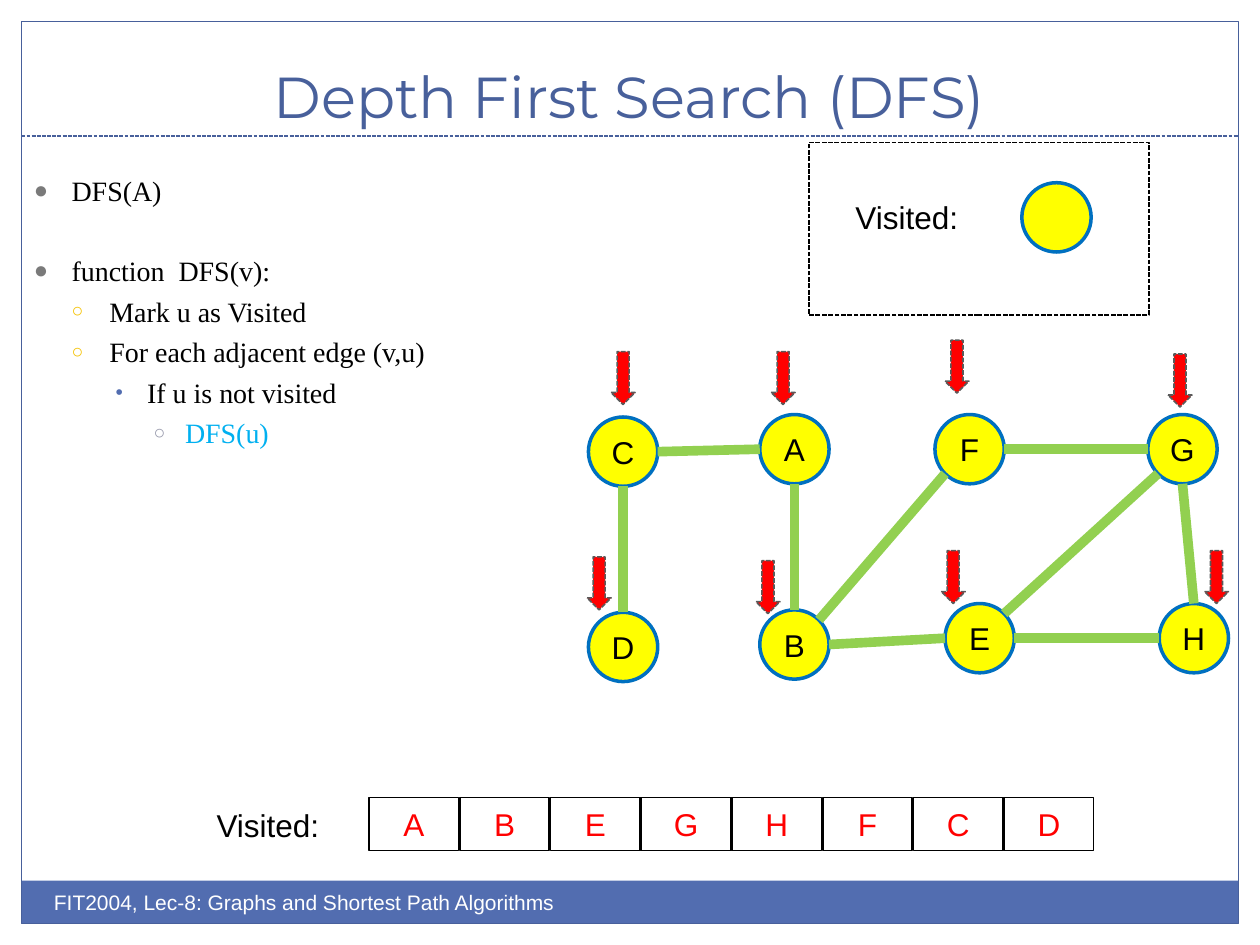
from lxml import etree
from pptx import Presentation
from pptx.dml.color import RGBColor
from pptx.enum.dml import MSO_LINE
from pptx.enum.shapes import MSO_CONNECTOR, MSO_SHAPE
from pptx.enum.text import MSO_ANCHOR, PP_ALIGN
from pptx.oxml.ns import qn
from pptx.util import Inches, Pt

RECT, OVAL, ARROW = MSO_SHAPE.RECTANGLE, MSO_SHAPE.OVAL, MSO_SHAPE.DOWN_ARROW
LINE = MSO_CONNECTOR.STRAIGHT
DASH = MSO_LINE.SQUARE_DOT
CENTER, MIDDLE, BOTTOM = PP_ALIGN.CENTER, MSO_ANCHOR.MIDDLE, MSO_ANCHOR.BOTTOM
BLUE, YELLOW, RED, BLACK, WHITE = "48609B", "FFFF00", "FF0000", "000000", "FFFFFF"
NODE = 0.55
NODES = {"A": (6.03, 3.29), "B": (6.03, 4.84), "C": (4.67, 3.31), "D": (4.67, 4.86),
         "E": (7.5, 4.79), "F": (7.42, 3.29), "G": (9.11, 3.29), "H": (9.2, 4.79)}
# Each edge: node and side where it starts, node and side where it ends
EDGES = ["C s D n", "A s B n", "G s H n", "C e A w", "F e G w",
         "B e E w", "E e H w", "B ne F sw", "E ne G sw"]
ARROWS = [(4.85, 2.79), (6.12, 2.79), (7.5, 2.7), (9.27, 2.81),
          (4.66, 4.42), (6, 4.45), (7.47, 4.37), (9.56, 4.37)]
# Each line: level, text, space before
CODE = [(0, "DFS(A)", 4), (0, "function  DFS(v):", 26.4), (1, "Mark u as Visited", 4),
        (1, "For each adjacent edge (v,u)", 4), (2, "If u is not visited", 4),
        (3, "DFS(u)", 4)]
# Each level: bullet, colour, size in percent, hanging indent
BULLETS = [("●", "7A7A7A", 85, 0.3), ("○", "F5C201", 70, 0.3),
           ("•", "526DB0", 75, 0.25), ("○", "989AAC", 70, 0.25)]


def color(hex):
    """Turn a hex string into a colour."""
    return RGBColor.from_string(hex)


def style(para, size, hue, font="Arial"):
    """Set the font of a paragraph."""
    para.font.size, para.font.name = Pt(size), font
    para.font.color.rgb = color(hue)


def shape(slide, kind, x, y, w, h, fill=None, line=None, width=1, dash=None):
    """Add a flat shape with an optional fill and outline."""
    item = slide.shapes.add_shape(kind, Inches(x), Inches(y), Inches(w), Inches(h))
    item.shadow.inherit = False
    if fill:
        item.fill.solid()
        item.fill.fore_color.rgb = color(fill)
    else:
        item.fill.background()
    if line:
        item.line.color.rgb = color(line)
        item.line.width = Pt(width)
        if dash:
            item.line.dash_style = dash
    else:
        item.line.fill.background()
    return item


def letter(item, text, hue):
    """Write a centred letter inside a shape."""
    frame = item.text_frame
    frame.margin_left = frame.margin_right = frame.margin_top = frame.margin_bottom = 0
    frame.vertical_anchor = MIDDLE
    para = frame.paragraphs[0]
    para.text, para.alignment = text, CENTER
    style(para, 18, hue)


def label(slide, x, y, w, text, size=18, hue=BLACK):
    """Add a one-line text box."""
    box = slide.shapes.add_textbox(Inches(x), Inches(y), Inches(w), Inches(0.4))
    para = box.text_frame.paragraphs[0]
    para.text = text
    style(para, size, hue)


def link(slide, start, end, hue, width, dash=None):
    """Draw a straight line between two points."""
    line = slide.shapes.add_connector(LINE, *[Inches(v) for v in (*start, *end)])
    line.line.color.rgb = color(hue)
    line.line.width = Pt(width)
    if dash:
        line.line.dash_style = dash
    etree.SubElement(line._element.spPr, qn("a:effectLst"))


def frame(slide, x, y, w, h):
    """Draw the border, title rule, footer and title."""
    shape(slide, RECT, x, y + h - 0.34, w, 0.34, "526DB0")
    shape(slide, RECT, x, y, w, h, line=BLUE, width=0.75)
    link(slide, (x, y + 0.91), (x + w, y + 0.91), BLUE, 0.75, DASH)
    label(slide, x + 0.16, y + h - 0.32, 5,
          "FIT2004, Lec-8: Graphs and Shortest Path Algorithms", 12, WHITE)
    title = slide.shapes.title
    title.left, title.top = Inches(x + 0.16), Inches(y + 0.08)
    title.width, title.height = Inches(9.33), Inches(0.83)
    title.text_frame.vertical_anchor = BOTTOM
    para = title.text_frame.paragraphs[0]
    para.text, para.alignment = "Depth First Search (DFS)", CENTER
    style(para, 33, BLUE, "Montserrat")


def bullet(para, level):
    """Give a paragraph the bullet and indent of its level."""
    char, hue, size, hang = BULLETS[level]
    props = para._p.get_or_add_pPr()
    props.set("marL", str(Inches(0.3 * (level + 1))))
    props.set("indent", str(-Inches(hang)))
    tint = etree.SubElement(props, qn("a:buClr"))
    etree.SubElement(tint, qn("a:srgbClr"), val=hue)
    etree.SubElement(props, qn("a:buSzPct"), val=str(size * 1000))
    etree.SubElement(props, qn("a:buFont"), typeface="Arial")
    etree.SubElement(props, qn("a:buChar"), char=char)


def code(slide, x, y, w, h):
    """Write the bulleted algorithm."""
    box = slide.shapes.add_textbox(Inches(x), Inches(y), Inches(w), Inches(h))
    text = box.text_frame
    text.word_wrap = True
    for i, (level, words, gap) in enumerate(CODE):
        para = text.add_paragraph() if i else text.paragraphs[0]
        para.text, para.level = words, level
        para.space_before = Pt(gap)
        style(para, 16, "00B0F0" if level == 3 else BLACK, "Times New Roman")
        bullet(para, level)


def node(slide, x, y):
    """Add a visited node."""
    return shape(slide, OVAL, x, y, NODE, NODE, YELLOW, "0070C0", 2)


def port(name, side):
    """Find the point on a node's rim at a compass side."""
    x, y = NODES[name]
    reach = NODE / 2 * (0.71 if len(side) == 2 else 1)
    dx = ("e" in side) - ("w" in side)
    dy = ("s" in side) - ("n" in side)
    return x + NODE / 2 + dx * reach, y + NODE / 2 + dy * reach


def graph(slide):
    """Draw the nodes, edges and arrows."""
    for name, (x, y) in NODES.items():
        letter(node(slide, x, y), name, BLACK)
    for edge in EDGES:
        a, out, b, into = edge.split()
        link(slide, port(a, out), port(b, into), "92D050", 5.5)
    for x, y in ARROWS:
        shape(slide, ARROW, x, y, 0.19, 0.42, RED, "5A5A5A", 0.9, DASH)


def legend(slide, x, y, w, h):
    """Draw the key to the node colour."""
    shape(slide, RECT, x, y, w, h, line=BLACK, width=0.9, dash=DASH)
    label(slide, x + 0.27, y + 0.39, 1.02, "Visited:")
    node(slide, x + 1.69, y + 0.32)


def order(slide, x, y):
    """Draw the row of nodes in the order of visits."""
    label(slide, x, y + 0.02, 1.02, "Visited:")
    for i, name in enumerate("ABEGHFCD"):
        cell = shape(slide, RECT, x + 1.31 + 0.72 * i, y, 0.71, 0.42, line=BLACK)
        letter(cell, name, RED)


deck = Presentation()
deck.slide_width, deck.slide_height = Inches(10), Inches(7.5)
page = deck.slides.add_slide(deck.slide_layouts[5])
frame(page, 0.17, 0.17, 9.66, 7.16)
code(page, 0.17, 1.33, 4.42, 3.92)
graph(page)
legend(page, 6.42, 1.13, 2.7, 1.37)
order(page, 1.62, 6.33)
deck.save("out.pptx")
